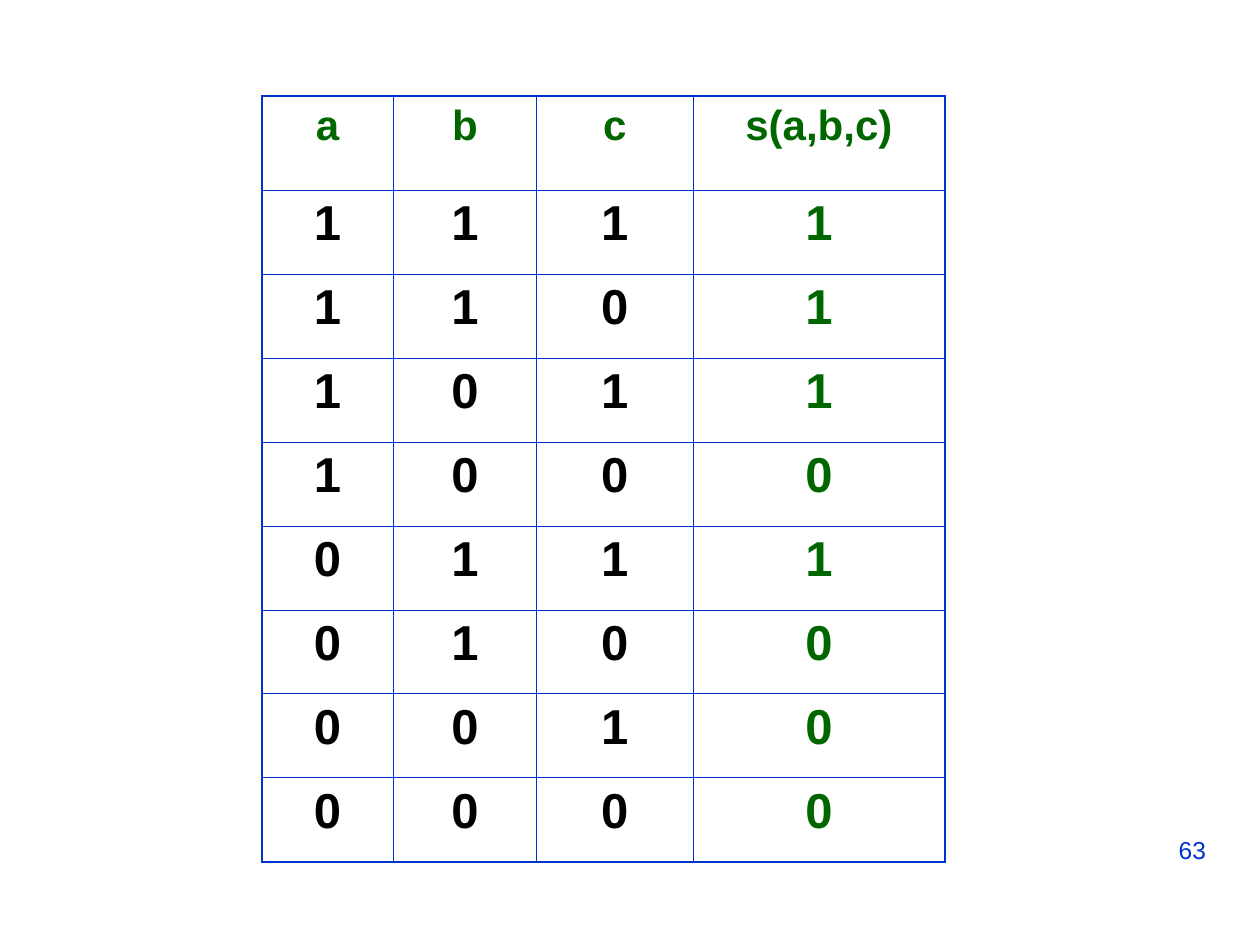
from itertools import product

from lxml.etree import SubElement
from pptx import Presentation
from pptx.dml.color import RGBColor
from pptx.enum.text import PP_ALIGN
from pptx.oxml.ns import qn
from pptx.util import Inches, Pt

BLUE = RGBColor(0x00, 0x33, 0xCC)
GREEN = RGBColor(0x00, 0x66, 0x00)
BLACK = RGBColor(0x00, 0x00, 0x00)
INNER_BORDER, OUTER_BORDER = Pt(0.45), Pt(1.08)


def write(frame, text, size, color, alignment, bold=False):
    paragraph = frame.paragraphs[0]
    paragraph.alignment = alignment
    run = paragraph.add_run()
    run.text = text
    run.font.name = "Arial"
    run.font.size = Pt(size)
    run.font.bold = bold
    run.font.color.rgb = color


def add_border(cell, side, width):
    """Draw one cell border; side is L, R, T or B, added in that order."""
    line = SubElement(cell._tc.get_or_add_tcPr(), qn(f"a:ln{side}"), w=str(width))
    fill = SubElement(line, qn("a:solidFill"))
    SubElement(fill, qn("a:srgbClr"), val=str(BLUE))


prs = Presentation()
prs.slide_width, prs.slide_height = Inches(10), Inches(7.5)
slide = prs.slides.add_slide(prs.slide_layouts[6])

page_number = slide.shapes.add_textbox(
    Inches(7.17), Inches(6.58), Inches(2.5), Inches(0.52))
page_number.text_frame.word_wrap = True
write(page_number.text_frame, "63", 14, BLUE, PP_ALIGN.RIGHT)

# s(a,b,c) is 1 when at least two of the inputs are 1
truth_rows = [("a", "b", "c", "s(a,b,c)")]
for inputs in product((1, 0), repeat=3):
    majority = int(sum(inputs) >= 2)
    truth_rows.append((*inputs, majority))

column_widths = (1.04, 1.14, 1.24, 2)
table_height, header_height = 6.08, 0.75
value_height = (table_height - header_height) / (len(truth_rows) - 1)
last_row, last_column = len(truth_rows) - 1, len(column_widths) - 1

truth_table = slide.shapes.add_table(
    len(truth_rows), len(column_widths), Inches(2.08), Inches(0.76),
    Inches(sum(column_widths)), Inches(table_height)).table
truth_table.first_row = False
truth_table.horz_banding = False
for column, width in zip(truth_table.columns, column_widths):
    column.width = Inches(width)

for r, values in enumerate(truth_rows):
    is_header = r == 0
    truth_table.rows[r].height = Inches(header_height if is_header else value_height)
    for c, value in enumerate(values):
        cell = truth_table.cell(r, c)
        cell.margin_left = cell.margin_right = Inches(0.1)
        cell.margin_top = cell.margin_bottom = Inches(0.05)
        on_edge = {"L": c == 0, "R": c == last_column,
                   "T": is_header, "B": r == last_row}
        for side, is_outer in on_edge.items():
            add_border(cell, side, OUTER_BORDER if is_outer else INNER_BORDER)
        cell.fill.background()
        color = GREEN if is_header or c == last_column else BLACK
        write(cell.text_frame, str(value), 24 if is_header else 28, color,
              PP_ALIGN.CENTER, bold=True)

prs.save("out.pptx")
